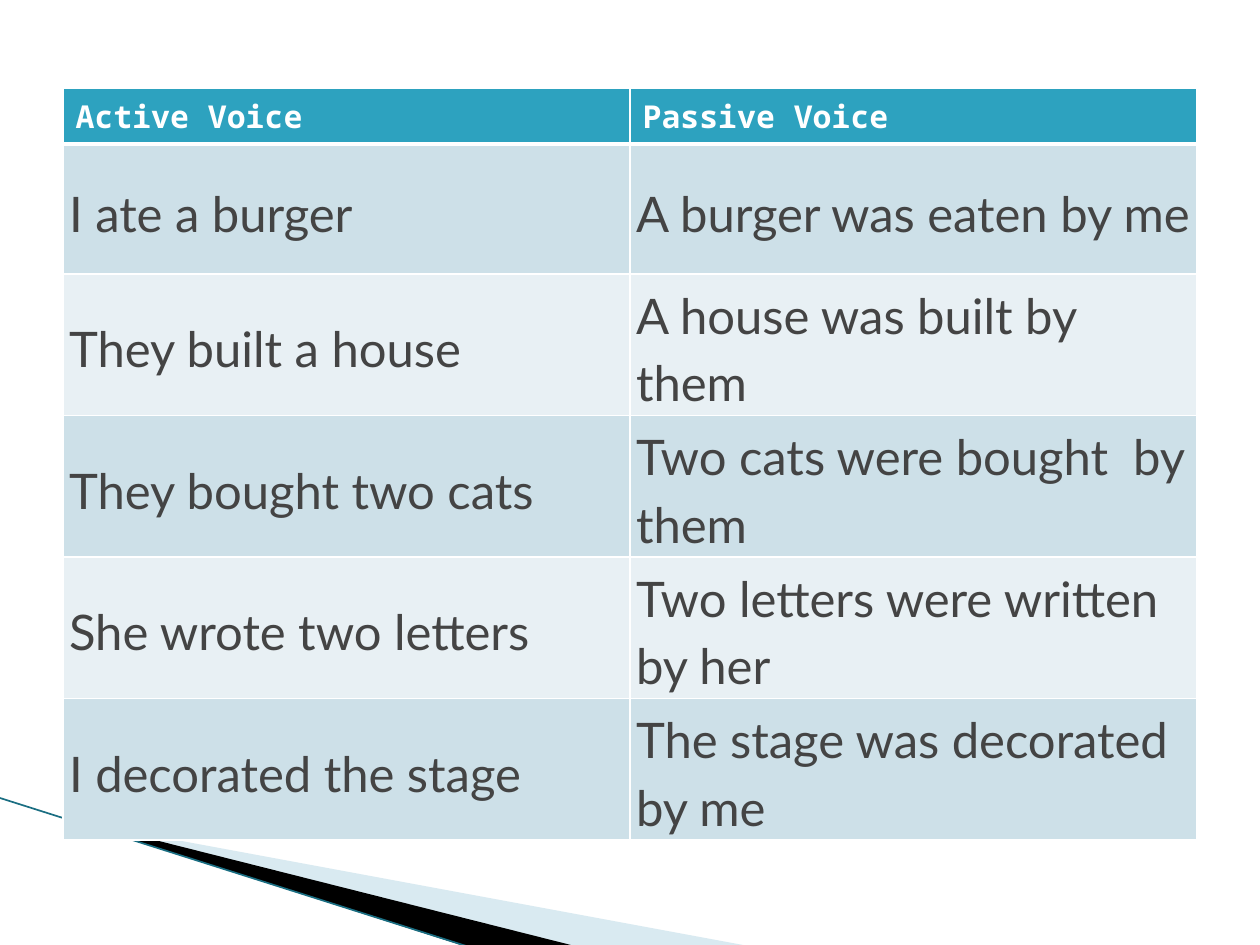
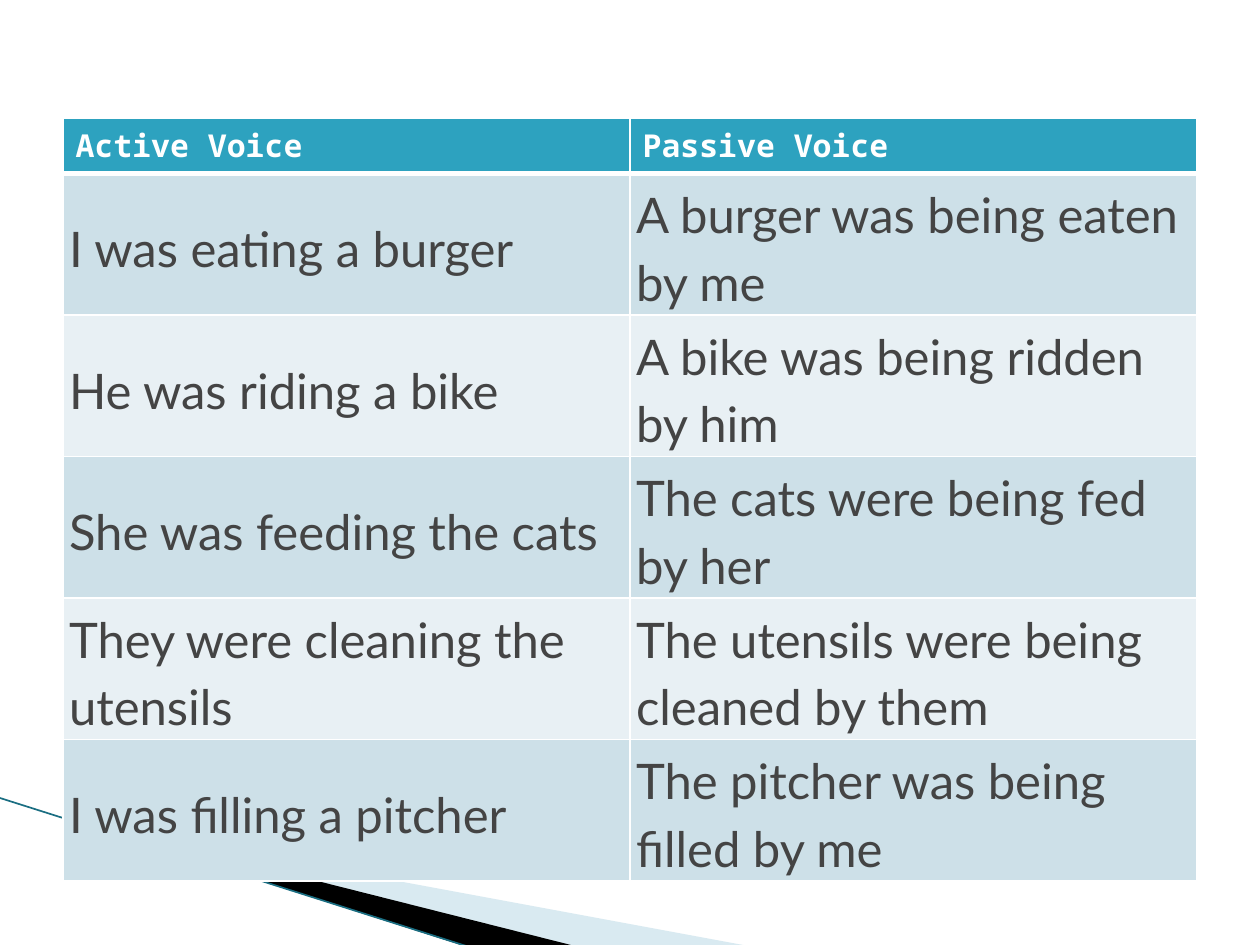
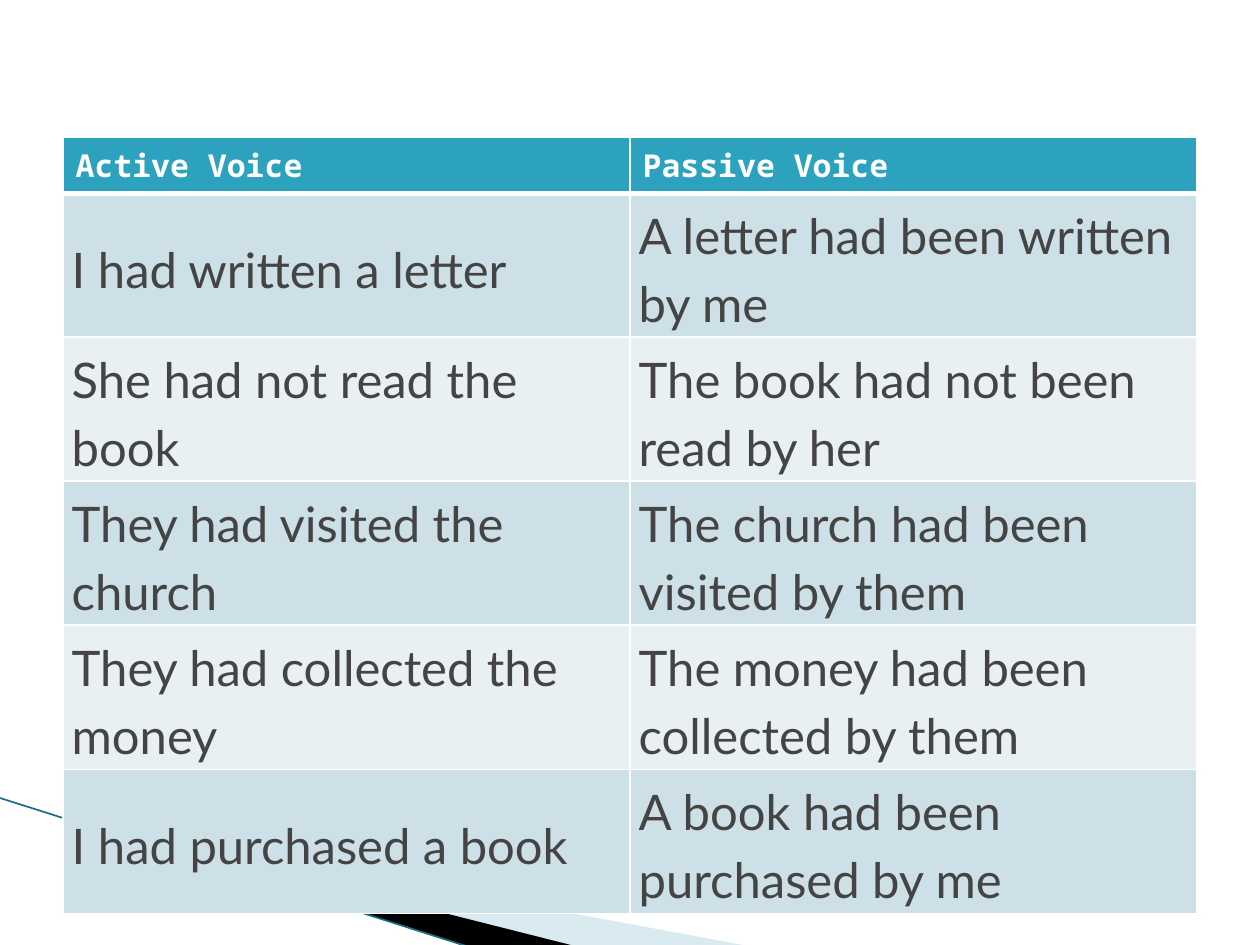
"""Build three slides of active and passive voice tables over a shared swoosh."""
from lxml import etree
from pptx import Presentation
from pptx import util as u
from pptx.dml.color import RGBColor
from pptx.enum import shapes, text
from pptx.oxml import ns

Pt = u.Pt
WHITE = RGBColor(0xFF, 0xFF, 0xFF)
BLACK = RGBColor(0, 0, 0)
TEAL = RGBColor(0x2D, 0xA2, 0xBF)
DARK_TEAL = RGBColor(0x1A, 0x6E, 0x82)
PALE_BLUE = RGBColor(0xA0, 0xCB, 0xDC)
BAND = RGBColor(0xCD, 0xE0, 0xE8)
LIGHT_BAND = RGBColor(0xE8, 0xF0, 0xF4)
INK = RGBColor(0x44, 0x44, 0x44)

HEADER = ("Active Voice", "Passive Voice")
SLIDES = [
    dict(top=50.6, heights=[28.1] + [74.2] * 5, inset=(3.5, 1.8), rows=[
        ("I ate a burger", "A burger was eaten by me"),
        ("They built a house", "A house was built by them"),
        ("They bought two cats", "Two cats were bought \u00a0by them"),
        ("She wrote two letters", "Two letters were written by her"),
        ("I decorated the stage", "The stage was decorated by me"),
    ]),
    dict(top=67.4, heights=[26.6] + [70.6] * 3 + [72.7, 70.6], inset=(3.5, 1.8), rows=[
        ("I was eating a burger", "A burger was being eaten by me"),
        ("He was riding a bike", "A bike was being ridden by him"),
        ("She was feeding the cats", "The cats were being fed by her"),
        ("They were cleaning the utensils", "The utensils were being cleaned by them"),
        ("I was filling a pitcher", "The pitcher was being filled by me"),
    ]),
    dict(top=78.7, heights=[27.4] + [76.3] * 5, inset=(5, 2.5), rows=[
        ("I had written a letter", "A letter had been written by me"),
        ("She had not read the book", "The book had not been read by her"),
        ("They had visited the church", "The church had been visited by them"),
        ("They had collected the money", "The money had been collected by them"),
        ("I had purchased a book", "A book had been purchased by me"),
    ]),
]


def write(cell, words, size, font, color, bold=False, spacing=1.0):
    p = cell.text_frame.paragraphs[0]
    p.line_spacing = spacing
    r = p.add_run()
    r.text = words
    r.font.size = Pt(size)
    r.font.name = font
    r.font.bold = bold
    r.font.color.rgb = color


def set_borders(cell, **widths):
    tc_pr = cell._tc.get_or_add_tcPr()
    for i, (side, width) in enumerate(widths.items()):
        ln = etree.Element(ns.qn("a:ln" + side), w=str(Pt(width)))
        fill = etree.SubElement(ln, ns.qn("a:solidFill"))
        etree.SubElement(fill, ns.qn("a:srgbClr"), val=str(WHITE))
        tc_pr.insert(i, ln)


prs = Presentation()
prs.slide_width, prs.slide_height = Pt(720), Pt(540)
blank = prs.slide_layouts[6]
slides = [prs.slides.add_slide(blank) for _ in SLIDES]

swoosh = []
for color, alpha, frame, points in (
    (PALE_BLUE, 40, (56.2, 393.8, 299.5, 113.8),
     [(39.6, 468.7), (428.4, 540.7), (328.3, 540.7), (39.6, 468)]),
    (BLACK, 100, (-4.3, 455.8, 299.5, 66.2),
     [(38.2, 467.3), (329, 540.7), (267.8, 541.4), (38.9, 468)]),
):
    corners = [(Pt(x), Pt(y)) for x, y in points]
    fb = slides[0].shapes.build_freeform(*corners[0])
    fb.add_line_segments(corners[1:])
    sp = fb.convert_to_shape()
    sp.shadow.inherit = False
    sp.fill.solid()
    sp.fill.fore_color.rgb = color
    sp.line.fill.background()
    sp.left, sp.top, sp.width, sp.height = (Pt(v) for v in frame)
    outline = sp.element.spPr.find(".//" + ns.qn("a:path"))
    outline.set("w", str(sp.width))
    outline.set("h", str(sp.height))
    vertices = outline.findall(".//" + ns.qn("a:pt"))
    for vertex, (x, y) in zip(vertices, corners + corners[:1]):
        vertex.set("x", str(x - sp.left))
        vertex.set("y", str(y - sp.top))
    if alpha < 100:
        clr = sp.element.spPr.find(".//" + ns.qn("a:srgbClr"))
        etree.SubElement(clr, ns.qn("a:alpha"), val=str(alpha * 1000))
    swoosh.append(sp)

edge = slides[0].shapes.add_connector(
    shapes.MSO_CONNECTOR.STRAIGHT, Pt(-0.7), Pt(455.8), Pt(269), Pt(541.4))
edge.line.color.rgb = DARK_TEAL
edge.line.width = Pt(0.95)
etree.SubElement(edge.element.spPr, ns.qn("a:effectLst"))
swoosh.append(edge)
for sp in swoosh:
    prs.slide_master.shapes.element.append(sp.element)

for s, data in zip(slides, SLIDES):
    rows = [HEADER] + data["rows"]
    frame = s.shapes.add_table(
        len(rows), 2, Pt(36), Pt(data["top"]), Pt(648), Pt(sum(data["heights"])))
    table = frame.table
    table.horz_banding = False
    for i, (row, height) in enumerate(zip(rows, data["heights"])):
        table.rows[i].height = Pt(height)
        for j, words in enumerate(row):
            cell = table.cell(i, j)
            cell.fill.solid()
            set_borders(cell, L=1, R=1, T=3 if i == 1 else 1, B=3 if i == 0 else 1)
            if i == 0:
                cell.fill.fore_color.rgb = TEAL
                write(cell, words, 18, "Noto Sans Mono", WHITE, bold=True)
                continue
            cell.fill.fore_color.rgb = BAND if i % 2 else LIGHT_BAND
            cell.vertical_anchor = text.MSO_ANCHOR.MIDDLE
            side, end = data["inset"]
            cell.margin_left = cell.margin_right = Pt(side)
            cell.margin_top = cell.margin_bottom = Pt(end)
            write(cell, words, 28, "Lato", INK, spacing=1.15)

prs.save("out.pptx")
